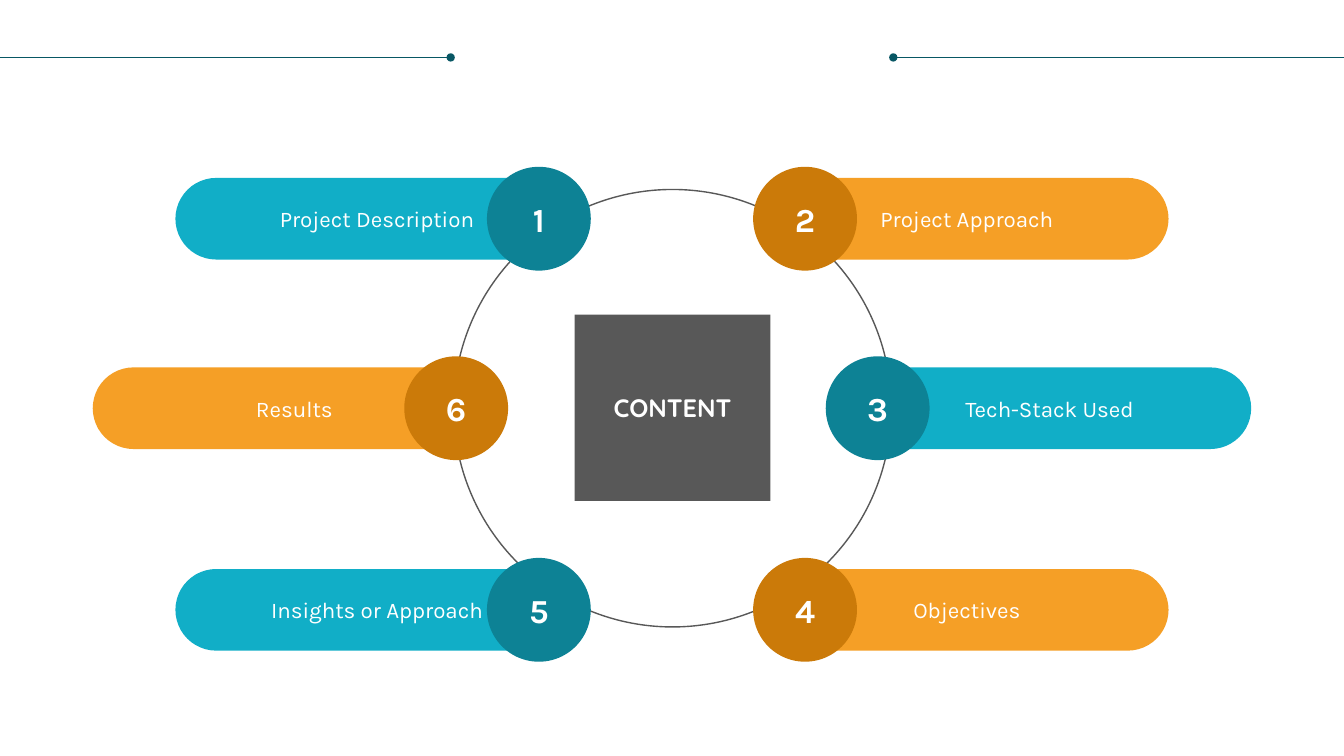
import pptx
import pptx.dml.color
import pptx.enum.shapes
import pptx.enum.text
import pptx.oxml
import pptx.oxml.ns
import pptx.util
from pptx.util import Inches

SHAPE = pptx.enum.shapes.MSO_SHAPE
TEAL = ("11AEC7", "0D8295")
ORANGE = ("F59F26", "CB7A09")
GREY = "585858"
LINE_COLOUR = "085764"
WHITE = "FFFFFF"
BAR_WIDTH, BAR_HEIGHT, DISC_SIZE = 4, 0.81, 1.03
TOP_ROW, MIDDLE_ROW, BOTTOM_ROW = 2.17, 4.05, 6.05

ITEMS = [
    ("1", "Project Description", TEAL, 1.74, 4.83, TOP_ROW),
    ("2", "Project Approach", ORANGE, 7.59, 7.47, TOP_ROW),
    ("3", "Tech-Stack Used", TEAL, 8.41, 8.19, MIDDLE_ROW),
    ("4", "Objectives", ORANGE, 7.59, 7.47, BOTTOM_ROW),
    ("5", "Insights or Approach", TEAL, 1.74, 4.83, BOTTOM_ROW),
    ("6", "Results", ORANGE, 0.92, 4.01, MIDDLE_ROW),
]


def colour(hex_string):
    return pptx.dml.color.RGBColor.from_string(hex_string)


def fill_shape(shape, hex_string):
    shape.fill.solid()
    shape.fill.fore_color.rgb = colour(hex_string)
    shape.line.fill.background()
    shape.shadow.inherit = False


def write_text(shape, text, size, font_name, bold=False):
    frame = shape.text_frame
    frame.text = text
    frame.word_wrap = True
    frame.vertical_anchor = pptx.enum.text.MSO_ANCHOR.MIDDLE
    para = frame.paragraphs[0]
    para.alignment = pptx.enum.text.PP_ALIGN.CENTER
    font = para.runs[0].font
    font.name = font_name
    font.size = pptx.util.Pt(size)
    font.bold = bold
    font.color.rgb = colour(WHITE)


def add_title(slide, text, left, top, width, height):
    title = slide.shapes.title
    title.left, title.top = Inches(left), Inches(top)
    title.width, title.height = Inches(width), Inches(height)
    geometry = pptx.oxml.parse_xml(
        f'<a:prstGeom {pptx.oxml.ns.nsdecls("a")} prst="ellipse"><a:avLst/></a:prstGeom>')
    title._element.spPr.append(geometry)
    fill_shape(title, GREY)
    write_text(title, text, 18, "Quicksand", True)
    title.text_frame.auto_size = pptx.enum.text.MSO_AUTO_SIZE.NONE


def add_ring(slide, left, top, size):
    ring = slide.shapes.add_shape(
        SHAPE.OVAL, Inches(left), Inches(top), Inches(size), Inches(size))
    ring.fill.background()
    ring.line.color.rgb = colour(GREY)
    ring.line.width = pptx.util.Pt(1)
    ring.shadow.inherit = False


def add_dotted_end_line(slide, edge, dot, top):
    line = slide.shapes.add_connector(
        pptx.enum.shapes.MSO_CONNECTOR.STRAIGHT,
        Inches(edge), Inches(top), Inches(dot), Inches(top))
    line.line.color.rgb = colour(LINE_COLOUR)
    line.line.width = pptx.util.Pt(0.5)
    properties = line._element.spPr
    end = pptx.oxml.parse_xml(
        f'<a:tailEnd {pptx.oxml.ns.nsdecls("a")} type="oval" w="med" len="med"/>')
    properties.find(pptx.oxml.ns.qn("a:ln")).append(end)
    properties.append(pptx.oxml.parse_xml(
        f'<a:effectLst {pptx.oxml.ns.nsdecls("a")}/>'))


def add_item(slide, number, label, colours, bar_left, disc_left, middle):
    group = slide.shapes.add_group_shape()
    bar = group.shapes.add_shape(
        SHAPE.ROUNDED_RECTANGLE, Inches(bar_left), Inches(middle - BAR_HEIGHT / 2),
        Inches(BAR_WIDTH), Inches(BAR_HEIGHT))
    bar.adjustments[0] = 0.5
    disc = group.shapes.add_shape(
        SHAPE.OVAL, Inches(disc_left), Inches(middle - DISC_SIZE / 2),
        Inches(DISC_SIZE), Inches(DISC_SIZE))
    fill_shape(bar, colours[0])
    fill_shape(disc, colours[1])
    write_text(bar, label, 16, "Karla")
    write_text(disc, number, 24, "Karla", True)


def main():
    deck = pptx.Presentation()
    deck.slide_width, deck.slide_height = Inches(13.33), Inches(7.5)
    slide = deck.slides.add_slide(deck.slide_layouts[5])
    add_title(slide, "CONTENT", 5.7, 3.12, 1.94, 1.85)
    add_ring(slide, 4.5, 1.88, 4.34)
    add_dotted_end_line(slide, 13.33, 8.86, 0.57)
    add_dotted_end_line(slide, 0, 4.47, 0.57)
    for item in ITEMS:
        add_item(slide, *item)
    deck.save("out.pptx")


if __name__ == "__main__":
    main()
